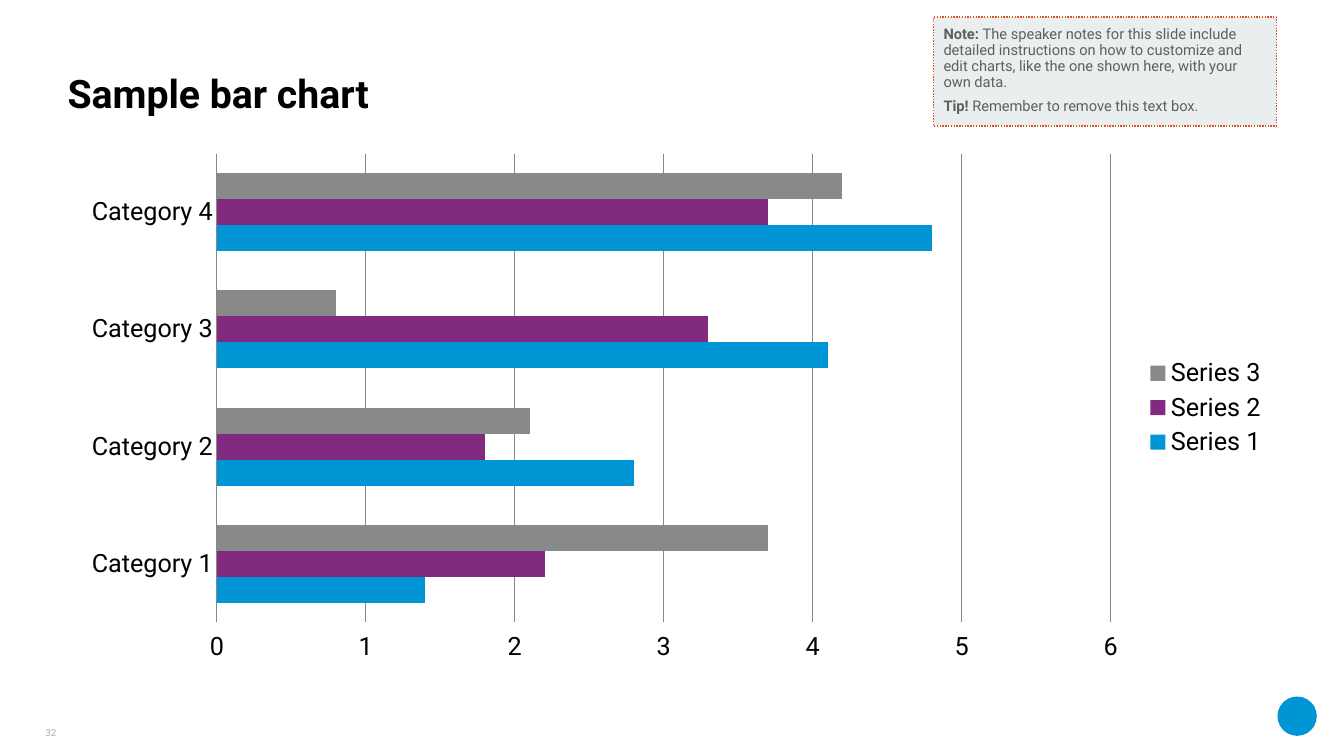
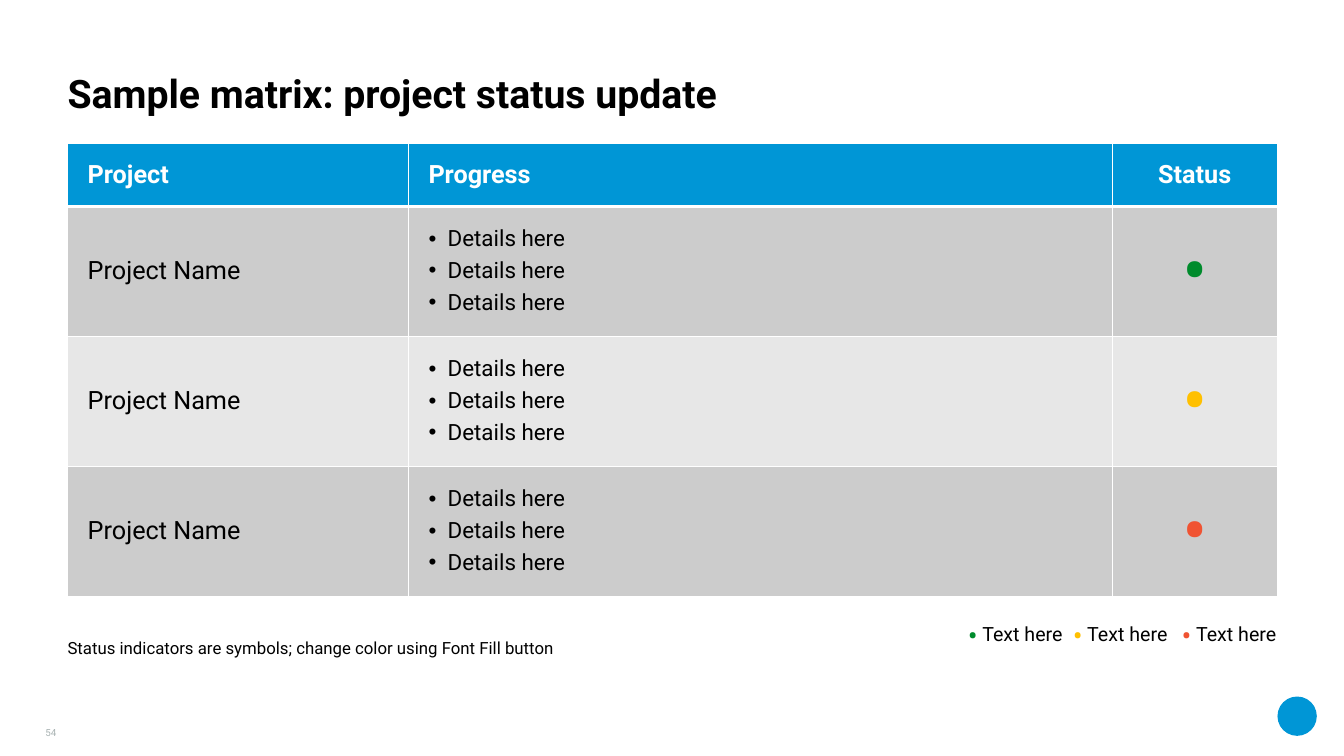
"""Build a sample bar chart slide and a project status matrix slide."""
from dataclasses import dataclass
from typing import Optional

from lxml.etree import SubElement
from pptx import Presentation
from pptx.chart.data import CategoryChartData
from pptx.dml.color import RGBColor
from pptx.enum.chart import XL_CHART_TYPE, XL_LEGEND_POSITION, XL_TICK_MARK
from pptx.enum.dml import MSO_LINE
from pptx.enum.shapes import MSO_SHAPE
from pptx.enum.text import MSO_ANCHOR, MSO_AUTO_SIZE, PP_ALIGN
from pptx.oxml import parse_xml
from pptx.oxml.ns import nsdecls, qn
from pptx.util import Inches, Pt

FONT = "Roboto"
COLORS = {
    "black": "000000", "white": "FFFFFF", "blue": "0096D6",
    "purple": "822980", "gray": "87898B", "grid": "878787",
    "note_fill": "EAEEEF", "note_line": "D9541E", "note_text": "5F5F5F",
    "number": "A8B2B2", "band_dark": "CCCCCC", "band_light": "E7E7E7",
    "green": "008B2C", "yellow": "FFC000", "red": "F05332",
}
STATUSES = ("green", "yellow", "red")
BULLET = "•"
MARGIN = 0.67
CONTENT_TOP = 1.42
CONTENT_WIDTH = 12


@dataclass(frozen=True)
class Box:
    left: float
    top: float
    width: float
    height: float

    def lengths(self) -> tuple:
        return tuple(map(Inches, (self.left, self.top, self.width, self.height)))


@dataclass(frozen=True)
class Span:
    text: str
    size: float
    color: str = "black"
    bold: bool = False
    baseline: Optional[int] = None


@dataclass(frozen=True)
class Series:
    name: str
    values: tuple
    color: str


CATEGORIES = tuple(f"Category {number}" for number in range(1, 5))
SERIES = (
    Series("Series 1", (1.4, 2.8, 4.1, 4.8), "blue"),
    Series("Series 2", (2.2, 1.8, 3.3, 3.7), "purple"),
    Series("Series 3", (3.7, 2.1, 0.8, 4.2), "gray"),
)


def rgb(color: str) -> RGBColor:
    return RGBColor.from_string(COLORS[color])


def style_font(font, size: float, color: str = "black", bold: bool = False) -> None:
    font.name = FONT
    font.size = Pt(size)
    font.bold = bold
    font.color.rgb = rgb(color)


def write(paragraph, *spans: Span, align=PP_ALIGN.LEFT, spacing=None) -> None:
    paragraph.alignment = align
    if spacing:
        paragraph.line_spacing = spacing
    for span in spans:
        run = paragraph.add_run()
        run.text = span.text
        style_font(run.font, span.size, span.color, span.bold)
        if span.baseline:
            run._r.get_or_add_rPr().set("baseline", str(span.baseline * 1000))


def set_frame(frame, anchor=MSO_ANCHOR.TOP, inset: float = 0) -> None:
    frame.word_wrap = True
    frame.auto_size = MSO_AUTO_SIZE.NONE
    frame.vertical_anchor = anchor
    frame.margin_left = frame.margin_right = Inches(inset)
    frame.margin_top = frame.margin_bottom = Inches(inset)


def add_text(slide, box: Box, *spans: Span, anchor=MSO_ANCHOR.TOP,
             align=PP_ALIGN.LEFT):
    frame = slide.shapes.add_textbox(*box.lengths()).text_frame
    set_frame(frame, anchor)
    write(frame.paragraphs[0], *spans, align=align)
    return frame.paragraphs[0]


def add_shape(slide, preset, box: Box, fill: str):
    shape = slide.shapes.add_shape(preset, *box.lengths())
    shape.shadow.inherit = False
    shape.fill.solid()
    shape.fill.fore_color.rgb = rgb(fill)
    shape.line.fill.background()
    return shape


def add_slide(deck, heading: str, number: int):
    slide = deck.slides.add_slide(deck.slide_layouts[5])
    title = slide.shapes.title
    title.left, title.top, title.width, title.height = Box(
        MARGIN, 0.33, CONTENT_WIDTH, 0.83).lengths()
    set_frame(title.text_frame, MSO_ANCHOR.BOTTOM)
    write(title.text_frame.paragraphs[0], Span(heading, 28, bold=True), spacing=0.9)
    add_shape(slide, MSO_SHAPE.OVAL, Box(12.67, 6.91, 0.39, 0.39), "blue")
    add_text(slide, Box(0.23, 7.09, 0.33, 0.24), Span(str(number), 7, "number"),
             anchor=MSO_ANCHOR.BOTTOM, align=PP_ALIGN.RIGHT)
    return slide


def add_bar_chart(slide) -> None:
    data = CategoryChartData()
    data.categories = CATEGORIES
    for series in SERIES:
        data.add_series(series.name, series.values)
    box = Box(MARGIN, CONTENT_TOP, CONTENT_WIDTH, 5.25)
    chart = slide.shapes.add_chart(
        XL_CHART_TYPE.BAR_CLUSTERED, *box.lengths(), data).chart
    style_font(chart.font, 18)
    chart.has_title = False
    chart.has_legend = True
    chart.legend.position = XL_LEGEND_POSITION.RIGHT
    chart.legend.include_in_layout = False
    style_font(chart.legend.font, 18)
    plot = chart.plots[0]
    plot.gap_width = 150
    plot.vary_by_categories = False
    for bars, series in zip(plot.series, SERIES):
        bars.format.fill.solid()
        bars.format.fill.fore_color.rgb = rgb(series.color)
        bars.invert_if_negative = False
    categories, values = chart.category_axis, chart.value_axis
    categories.major_tick_mark = XL_TICK_MARK.NONE
    values.major_tick_mark = XL_TICK_MARK.OUTSIDE
    values.minimum_scale, values.maximum_scale, values.major_unit = 0, 6, 1
    values.has_major_gridlines = True
    values.format.line.fill.background()
    for axis in (categories, values):
        style_font(axis.tick_labels.font, 18)
    for line in (categories.format.line, values.major_gridlines.format.line):
        line.color.rgb = rgb("grid")
        line.width = Pt(0.75)


def add_note(slide) -> None:
    note = add_shape(slide, MSO_SHAPE.RECTANGLE, Box(9.26, 0.17, 3.4, 1.08), "note_fill")
    note.line.color.rgb = rgb("note_line")
    note.line.width = Pt(1)
    note.line.dash_style = MSO_LINE.ROUND_DOT
    frame = note.text_frame
    set_frame(frame, inset=0.1)
    messages = (
        ("Note: ", "The speaker notes for this slide include detailed instructions on "
                   "how to customize and edit charts, like the one shown here, with "
                   "your own data."),
        ("Tip! ", "Remember to remove this text box."),
    )
    for index, (lead, message) in enumerate(messages):
        paragraph = frame.add_paragraph() if index else frame.paragraphs[0]
        if index:
            paragraph.space_before = Pt(6)
        write(paragraph, Span(lead, 10.5, "note_text", True),
              Span(message, 10.5, "note_text"), spacing=0.9)


def add_bullet(paragraph) -> None:
    properties = paragraph._p.get_or_add_pPr()
    indent = Inches(0.19)
    properties.set("marL", str(indent))
    properties.set("indent", str(-indent))
    bullet_color = SubElement(properties, qn("a:buClr"))
    SubElement(bullet_color, qn("a:srgbClr"), val=COLORS["black"])
    SubElement(properties, qn("a:buFont"), typeface="Arial")
    SubElement(properties, qn("a:buChar"), char=BULLET)


def style_cell(cell, fill: str, top: float, bottom: float) -> None:
    cell.vertical_anchor = MSO_ANCHOR.MIDDLE
    cell.margin_left = cell.margin_right = Inches(0.2)
    cell.margin_top = cell.margin_bottom = Inches(0.05)
    cell.fill.solid()
    cell.fill.fore_color.rgb = rgb(fill)
    properties = cell._tc.get_or_add_tcPr()
    widths = {"L": 0.96, "R": 0.96, "T": top, "B": bottom}
    for index, (side, width) in enumerate(widths.items()):
        properties.insert(index, parse_xml(
            f'<a:ln{side} {nsdecls("a")} w="{Pt(width)}"><a:solidFill>'
            f'<a:srgbClr val="{COLORS["white"]}"/></a:solidFill></a:ln{side}>'))


def add_status_table(slide) -> None:
    column_widths = (3.38, 6.98, 1.64)
    row_heights = (0.63, 1.29, 1.29, 1.29)
    box = Box(MARGIN, CONTENT_TOP, CONTENT_WIDTH, sum(row_heights))
    table = slide.shapes.add_table(
        len(row_heights), len(column_widths), *box.lengths()).table
    table.horz_banding = False
    for column, width in zip(table.columns, column_widths):
        column.width = Inches(width)
    for index, (row, height) in enumerate(zip(table.rows, row_heights)):
        row.height = Inches(height)
        fill = "blue" if index == 0 else "band_dark" if index % 2 else "band_light"
        for cell in row.cells:
            style_cell(cell, fill, top=3 if index == 1 else 0.96,
                       bottom=3 if index == 0 else 0.96)
    headings = (("Project", PP_ALIGN.LEFT), ("Progress", PP_ALIGN.LEFT),
                ("Status", PP_ALIGN.CENTER))
    for column, (heading, align) in enumerate(headings):
        write(table.cell(0, column).text_frame.paragraphs[0],
              Span(heading, 18, "white", True), align=align)
    for row, status in enumerate(STATUSES, start=1):
        project, progress, indicator = (
            table.cell(row, column).text_frame for column in range(3))
        write(project.paragraphs[0], Span("Project Name", 18), spacing=0.9)
        for detail in range(3):
            paragraph = progress.add_paragraph() if detail else progress.paragraphs[0]
            paragraph.space_after = Pt(6)
            write(paragraph, Span("Details here", 16), spacing=0.9)
            add_bullet(paragraph)
        write(indicator.paragraphs[0], Span(BULLET, 54, status), align=PP_ALIGN.CENTER)


def add_status_key(slide) -> None:
    spans = []
    for index, status in enumerate(STATUSES):
        if index:
            spans.append(Span("\t", 14))
        spans += [Span(BULLET, 36, status, baseline=-10), Span(" Text here", 14)]
    key = add_text(slide, Box(9.6, 6, 3.2, 0.33), *spans, anchor=MSO_ANCHOR.MIDDLE)
    tabs = SubElement(key._p.get_or_add_pPr(), qn("a:tabLst"))
    for position in (1.04, 2.12):
        SubElement(tabs, qn("a:tab"), pos=str(Inches(position)), algn="l")


def main() -> None:
    deck = Presentation()
    deck.slide_width, deck.slide_height = Inches(13.33), Inches(7.5)

    chart_slide = add_slide(deck, "Sample bar chart", 32)
    add_bar_chart(chart_slide)
    add_note(chart_slide)

    matrix_slide = add_slide(deck, "Sample matrix: project status update", 54)
    add_status_table(matrix_slide)
    add_status_key(matrix_slide)
    add_text(matrix_slide, Box(MARGIN, 6.33, CONTENT_WIDTH, 0.25),
             Span("Status indicators are symbols; change color using Font Fill button", 12))

    deck.save("out.pptx")


if __name__ == "__main__":
    main()
